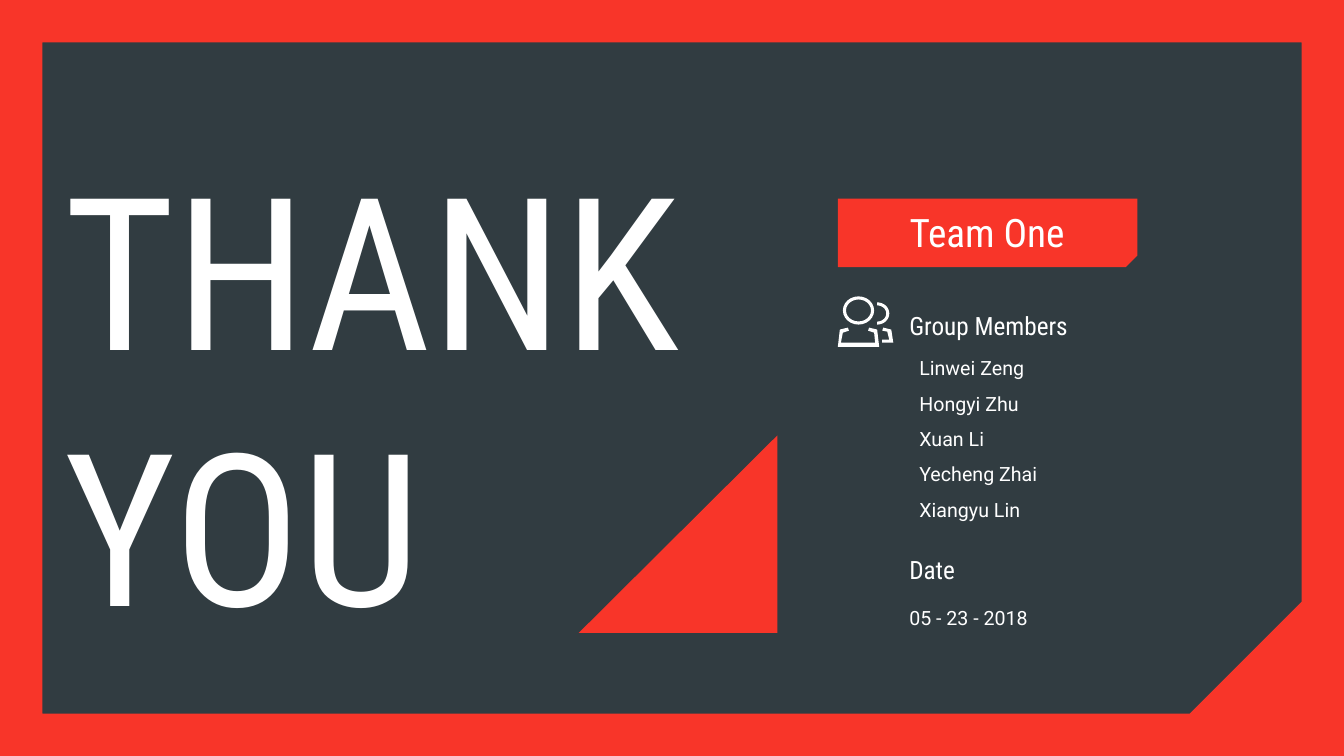
from dataclasses import dataclass
from math import cos, pi, sin

from pptx import Presentation
from pptx.dml.color import RGBColor
from pptx.enum import shapes, text
from pptx.util import Inches, Pt


@dataclass(frozen=True)
class Theme:
    red: RGBColor = RGBColor(0xF8, 0x35, 0x29)
    slate: RGBColor = RGBColor(0x31, 0x3C, 0x41)
    white: RGBColor = RGBColor(0xFF, 0xFF, 0xFF)
    heading_font: str = "Roboto Condensed"
    body_font: str = "Roboto"
    title_size: int = 152
    team_size: int = 28
    heading_size: int = 18
    body_size: int = 14


THEME = Theme()
MEMBERS = ["Linwei Zeng", "Hongyi Zhu", "Xuan Li", "Yecheng Zhai", "Xiangyu Lin"]


def paint(shape, color):
    shape.shadow.inherit = False
    shape.fill.solid()
    shape.fill.fore_color.rgb = color
    shape.line.fill.background()


def add_outline(slide, color, *contours):
    """Draw one filled shape from closed contours given in inches."""
    contours = [[(Inches(x), Inches(y)) for x, y in points] for points in contours]
    builder = slide.shapes.build_freeform(*contours[0][0])
    for index, (start, *rest) in enumerate(contours):
        if index:
            builder.move_to(*start)
        builder.add_line_segments(rest, close=True)
    paint(builder.convert_to_shape(), color)


def add_preset(slide, kind, box, color):
    shape = slide.shapes.add_shape(kind, *map(Inches, box))
    paint(shape, color)
    return shape


def add_text(slide, box, lines, font, size, spacing=None):
    """Add one paragraph per line and return the text frame."""
    frame = slide.shapes.add_textbox(*map(Inches, box)).text_frame
    frame.word_wrap = True
    frame.auto_size = text.MSO_AUTO_SIZE.SHAPE_TO_FIT_TEXT
    for index, line in enumerate(lines):
        paragraph = frame.add_paragraph() if index else frame.paragraphs[0]
        paragraph.text = line
        paragraph.line_spacing = spacing
        paragraph.font.name = font
        paragraph.font.size = Pt(size)
        paragraph.font.color.rgb = THEME.white
    return frame


def add_heading(slide, top, label):
    add_text(slide, (8.92, top, 3.72, 0.4), [label],
             THEME.heading_font, THEME.heading_size)


def add_body(slide, left, top, height, lines):
    add_text(slide, (left, top, 3.27, height), lines,
             THEME.body_font, THEME.body_size, 1.5)


def add_frame(slide):
    opening = [(0.42, 0.42), (0.42, 7.08), (11.8, 7.08), (12.91, 5.97), (12.91, 0.42)]
    edge = [(0, 0), (13.33, 0), (13.33, 7.5), (0, 7.5)]
    add_outline(slide, THEME.red, opening, edge)


def add_team_banner(slide):
    banner = add_preset(slide, shapes.MSO_SHAPE.SNIP_1_RECTANGLE,
                        (8.31, 1.97, 2.97, 0.68), THEME.red)
    banner.rotation = 180
    banner._element.spPr.xfrm.set("flipH", "1")
    frame = add_text(slide, (8.48, 2.08, 2.62, 0.49), ["Team One"],
                     THEME.heading_font, THEME.team_size, 0.9)
    frame.auto_size = text.MSO_AUTO_SIZE.NONE
    frame.vertical_anchor = text.MSO_ANCHOR.MIDDLE
    frame.paragraphs[0].alignment = text.PP_ALIGN.CENTER


def right_arc(center_x, center_y, radius_x, radius_y, steps=24):
    """Points of a half ellipse from its top, round the right, to its bottom."""
    angles = [pi * step / steps for step in range(steps + 1)]
    return [(center_x + radius_x * sin(a), center_y - radius_y * cos(a)) for a in angles]


def add_people_icon(slide):
    front_head = add_preset(slide, shapes.MSO_SHAPE.DONUT,
                            (8.36, 2.94, 0.31, 0.28), THEME.white)
    front_head.adjustments[0] = 0.11
    outer = right_arc(8.7, 3.11, 0.12, 0.11)
    inner = right_arc(8.7, 3.11, 0.09, 0.08)
    back_head = outer + inner[::-1]
    back_body = [(8.86, 3.4), (8.75, 3.4), (8.75, 3.37), (8.82, 3.37),
                 (8.8, 3.29), (8.75, 3.28), (8.76, 3.25), (8.84, 3.27)]
    front_body = [(8.72, 3.44), (8.31, 3.44), (8.33, 3.27), (8.41, 3.25),
                  (8.42, 3.28), (8.36, 3.3), (8.34, 3.4), (8.68, 3.4),
                  (8.67, 3.3), (8.61, 3.28), (8.62, 3.25), (8.7, 3.27)]
    for contour in (back_head, back_body, front_body):
        add_outline(slide, THEME.white, contour)


def main():
    presentation = Presentation()
    presentation.slide_width = Inches(13.33)
    presentation.slide_height = Inches(7.5)
    slide = presentation.slides.add_slide(presentation.slide_layouts[6])
    slide.background.fill.solid()
    slide.background.fill.fore_color.rgb = THEME.slate

    add_frame(slide)
    add_text(slide, (0.54, 1.32, 7.44, 5.22), ["THANK", "YOU"],
             THEME.heading_font, THEME.title_size)
    add_outline(slide, THEME.red, [(7.71, 6.28), (5.74, 6.28), (7.71, 4.32)])
    add_team_banner(slide)
    add_body(slide, 9.02, 3.37, 1.87, MEMBERS)
    add_heading(slide, 3.03, "Group Members")
    add_heading(slide, 5.45, "Date")
    add_body(slide, 8.92, 5.85, 0.41, ["05 - 23 - 2018"])
    add_people_icon(slide)

    presentation.save("out.pptx")


if __name__ == "__main__":
    main()
